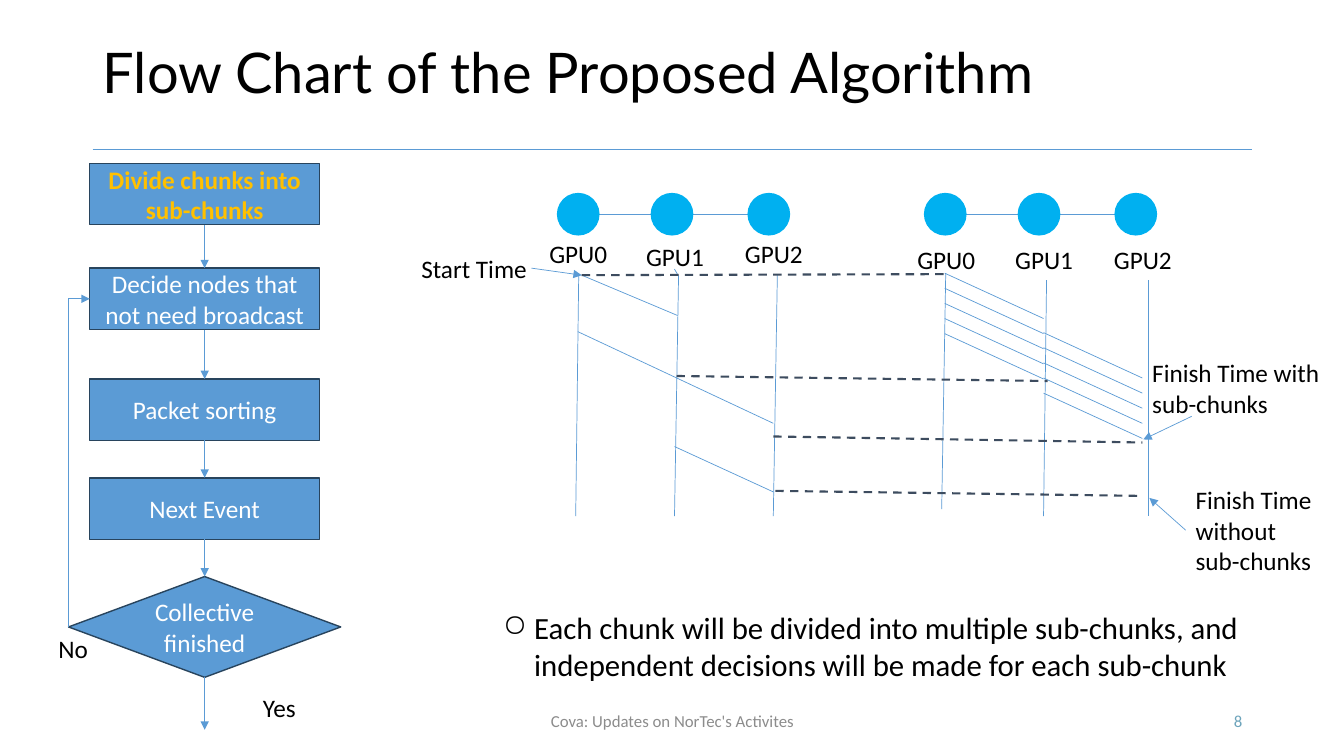
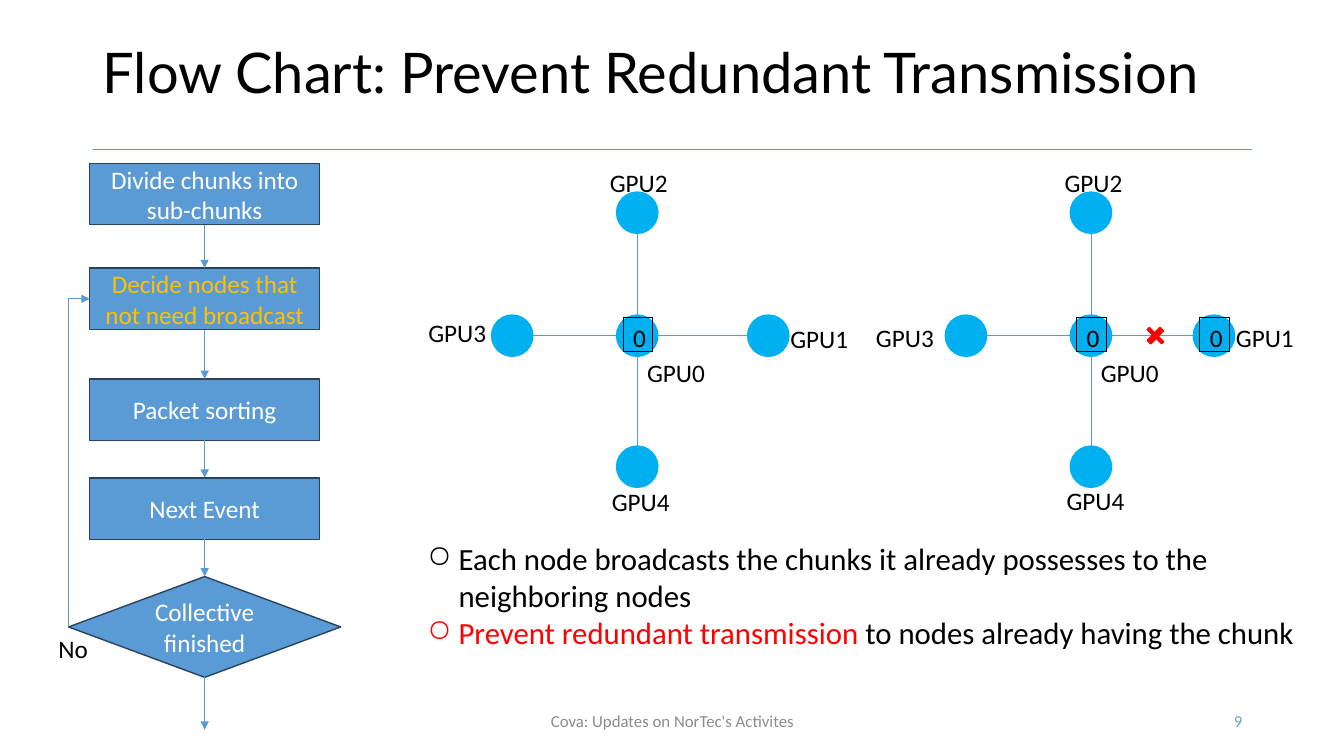
import pptx
import pptx.util
from pptx.dml.color import RGBColor
from pptx.enum.dml import MSO_LINE
from pptx.enum.shapes import MSO_CONNECTOR, MSO_SHAPE
from pptx.enum.text import MSO_ANCHOR, PP_ALIGN
from pptx.oxml.ns import qn
from lxml import etree

Inches = pptx.util.Inches
Pt = pptx.util.Pt

BLACK = RGBColor(0x00, 0x00, 0x00)
WHITE = RGBColor(0xFF, 0xFF, 0xFF)
BLUE = RGBColor(0x5B, 0x9B, 0xD5)
DARK_BLUE = RGBColor(0x28, 0x44, 0x5D)
SLATE = RGBColor(0x3D, 0x4C, 0x5F)
CYAN = RGBColor(0x00, 0xB0, 0xF0)
GOLD = RGBColor(0xFF, 0xC0, 0x00)
RED = RGBColor(0xFF, 0x00, 0x00)
FOOTER_GREY = RGBColor(0x8C, 0x8C, 0x8C)
NUMBER_BLUE = RGBColor(0x6D, 0xA4, 0xBB)

BODY_FONT = "Calibri"
TITLE_FONT = "Lato"
FOOTER = "Cova: Updates on NorTec's Activites"

STEPS = ["Divide chunks into sub-chunks", "Decide nodes that not need broadcast",
         "Packet sorting", "Next Event"]
STEP_TOPS = [0, 1.04, 2.14, 3.12]
STEP_SIZE = (2.28, 0.61)
NODE = 0.41


def style_run(run, size, color, font=BODY_FONT, bold=False):
    run.font.size = Pt(size)
    run.font.name = font
    run.font.color.rgb = color
    run.font.bold = bold


def write(shape, text, size=18, color=BLACK, font=BODY_FONT, bold=False,
          align=PP_ALIGN.LEFT, anchor=MSO_ANCHOR.TOP):
    frame = shape.text_frame
    frame.word_wrap = True
    frame.vertical_anchor = anchor
    frame.text = text
    for paragraph in frame.paragraphs:
        paragraph.alignment = align
        for run in paragraph.runs:
            style_run(run, size, color, font, bold)
    return frame


def add_label(slide, left, top, text, width=0.9, height=0.4, **style):
    label = slide.shapes.add_textbox(Inches(left), Inches(top), Inches(width), Inches(height))
    return write(label, text, **style)


def add_figure(slide, preset, left, top, width, height, fill, outline, weight=1):
    figure = slide.shapes.add_shape(preset, Inches(left), Inches(top),
                                    Inches(width), Inches(height))
    figure.shadow.inherit = False
    if fill is None:
        figure.fill.background()
    else:
        figure.fill.solid()
        figure.fill.fore_color.rgb = fill
    figure.line.color.rgb = outline
    figure.line.width = Pt(weight)
    return figure


def add_line(slide, start, end, color=BLUE, weight=0.5, dashed=False, arrow=False,
             kind=MSO_CONNECTOR.STRAIGHT):
    line = slide.shapes.add_connector(kind, *map(Inches, (*start, *end)))
    line.line.color.rgb = color
    line.line.width = Pt(weight)
    if dashed:
        line.line.dash_style = MSO_LINE.DASH
    if arrow:
        etree.SubElement(line.line._get_or_add_ln(), qn("a:tailEnd"), type="triangle")
    etree.SubElement(line._element.spPr, qn("a:effectLst"))
    return line


def add_node(slide, x, y):
    """Draw a GPU centred on x, y."""
    add_figure(slide, MSO_SHAPE.OVAL, x - NODE / 2, y - NODE / 2, NODE, NODE, CYAN, CYAN)


def add_bullets(slide, left, top, width, height, items):
    """Each item is a list of (text, colour) runs; the bullet takes the first colour."""
    frame = add_label(slide, left, top, "", width, height)
    for index, parts in enumerate(items):
        paragraph = frame.paragraphs[0] if index == 0 else frame.add_paragraph()
        for text, color in parts:
            run = paragraph.add_run()
            run.text = text
            style_run(run, 22, color)
        properties = paragraph._p.get_or_add_pPr()
        properties.set("marL", str(Inches(0.31)))
        properties.set("indent", str(-Inches(0.31)))
        etree.SubElement(properties, qn("a:buChar"), char="○")


def add_base(deck, title, number):
    slide = deck.slides.add_slide(deck.slide_layouts[6])
    add_line(slide, (0.92, 1.48), (12.42, 1.48))
    heading = add_label(slide, 0.92, 0.02, title, 11.5, 1.45, size=40, font=TITLE_FONT,
                        anchor=MSO_ANCHOR.MIDDLE)
    heading.paragraphs[0].line_spacing = 0.9
    add_label(slide, 4.42, 6.95, FOOTER, 4.5, size=12, color=FOOTER_GREY,
              align=PP_ALIGN.CENTER, anchor=MSO_ANCHOR.MIDDLE)
    add_label(slide, 9.42, 6.95, str(number), 3, size=12, color=NUMBER_BLUE,
              align=PP_ALIGN.RIGHT, anchor=MSO_ANCHOR.MIDDLE)
    return slide


def add_flow(slide, left, top, active, bold=False):
    """Draw the algorithm's flow chart with the active step's text in gold."""
    width, height = STEP_SIZE
    center = left + width / 2
    decision_left, decision_top = center - 1.35, top + 4.1
    boxes = [(MSO_SHAPE.RECTANGLE, left, top + offset, width, height, text)
             for offset, text in zip(STEP_TOPS, STEPS)]
    boxes.append((MSO_SHAPE.DIAMOND, decision_left, decision_top, 2.7, 1,
                  "Collective finished"))
    steps = []
    for index, (preset, *place, text) in enumerate(boxes):
        step = add_figure(slide, preset, *place, BLUE, DARK_BLUE)
        write(step, text, color=GOLD if index == active else WHITE,
              bold=bold and index == active,
              align=PP_ALIGN.CENTER, anchor=MSO_ANCHOR.MIDDLE)
        steps.append(step)

    for upper, lower in zip(steps, steps[1:]):
        link = add_line(slide, (center, top), (center, top + 1), arrow=True)
        link.begin_connect(upper, 2)
        link.end_connect(lower, 0)
    way_out = add_line(slide, (center, top + 5.1), (center, top + 5.62), arrow=True)
    way_out.begin_connect(steps[-1], 2)

    # The loop is a two-segment elbow, stored unturned around its midpoint.
    loop_top = top + STEP_TOPS[1] + height / 2
    rise, run = decision_top + 0.5 - loop_top, left - decision_left
    x, y = decision_left + run / 2, loop_top + rise / 2
    loop = add_line(slide, (x + rise / 2, y + run / 2), (x - rise / 2, y - run / 2),
                    arrow=True, kind=MSO_CONNECTOR.ELBOW)
    loop._element.spPr.find(qn("a:prstGeom")).set("prst", "bentConnector2")
    loop._element.spPr.find(qn("a:xfrm")).set("rot", str(90 * 60000))
    add_label(slide, left - 0.41, top + 4.61, "No")


def add_timeline(slide, left, top, labels, strokes):
    """Draw three linked GPUs with labels and timing lines placed from left, top."""
    middle = top + NODE / 2
    centers = [left + offset + NODE / 2 for offset in (0, 0.93, 1.89)]
    for start, end in zip(centers, centers[1:]):
        add_line(slide, (start + NODE / 2, middle), (end - NODE / 2, middle))
    for index, (center, (x, y)) in enumerate(zip(centers, labels)):
        add_node(slide, center, middle)
        add_label(slide, left + x, top + y, f"GPU{index}")
    for x1, y1, x2, y2 in strokes:
        add_line(slide, (left + x1, top + y1), (left + x2, top + y2))


def add_timing_comparison(slide):
    whole_chunks = [
        (0.21, 0.81, 0.18, 3.2), (1.16, 0.75, 1.2, 0.82),
        (1.2, 0.82, 1.16, 3.2), (2.18, 0.81, 2.14, 3.2),
        (0.24, 0.81, 1.19, 1.21), (0.2, 1.37, 1.16, 1.82),
        (1.16, 1.82, 2.14, 2.28), (1.16, 2.51, 2.14, 2.96)]
    sub_chunks = [(0.21, 0.79, 0.17, 3.13), (1.21, 0.86, 1.18, 3.2),
                  (2.22, 0.86, 2.22, 3.2)]
    for index in range(5):
        delay = 0.15 * index
        sub_chunks += [(0.2, 0.79 + delay, 1.18, 1.24 + delay),
                       (1.18, 1.38 + delay, 2.16, 1.83 + delay)]
    add_timeline(slide, 5.53, 1.92, [(-0.18, 0.4), (0.78, 0.42), (1.76, 0.4)], whole_chunks)
    add_timeline(slide, 9.17, 1.92, [(-0.17, 0.45), (0.8, 0.45), (1.78, 0.45)], sub_chunks)

    for start, end in [((5.77, 2.73), (9.36, 2.72)), ((6.71, 3.73), (10.39, 3.78)),
                       ((7.67, 4.33), (11.33, 4.39)), ((7.69, 4.87), (11.33, 4.92))]:
        add_line(slide, start, end, SLATE, 1.5, dashed=True)
    for start, end in [((5.27, 2.66), (5.77, 2.73)), ((11.82, 4.13), (11.34, 4.36)),
                       ((11.76, 5.26), (11.4, 4.94))]:
        add_line(slide, start, end, arrow=True)
    add_label(slide, 4.08, 2.46, "Start Time", 1.28)
    add_label(slide, 11.33, 3.5, "Finish Time with sub-chunks", 2, 0.71)
    add_label(slide, 11.76, 4.76, "Finish Time\nwithout sub-chunks", 1.45, 1.01)


def add_star(slide, x, y, right_arm, labels, holders):
    """Draw GPU0 at x, y with four neighbours; holders are offsets of nodes with chunk 0."""
    for dx, dy in [(right_arm, 0), (0, -1.22), (-1.24, 0), (0, 1.3)]:
        length = abs(dx) + abs(dy)
        ux, uy = dx / length * NODE / 2, dy / length * NODE / 2
        add_line(slide, (x + ux, y + uy), (x + dx - ux, y + dy - uy))
        add_node(slide, x + dx, y + dy)
    add_node(slide, x, y)
    for index, (dx, dy) in enumerate(labels):
        add_label(slide, x + dx, y + dy, f"GPU{index}")
    for dx in holders:
        chunk = add_figure(slide, MSO_SHAPE.RECTANGLE, x + dx - 0.14, y - 0.18,
                           0.29, 0.34, None, BLACK, 0.75)
        write(chunk, "0")


def add_broadcast_comparison(slide):
    add_star(slide, 6.32, 3.33, 1.3,
             [(0, 0.17), (1.42, -0.17), (-0.37, -1.72), (-2.17, -0.23), (-0.35, 1.45)], [0])
    add_star(slide, 10.82, 3.33, 1.22,
             [(0, 0.17), (1.34, -0.18), (-0.36, -1.72), (-2.23, -0.18), (-0.34, 1.44)],
             [0, 1.22])
    blocked = add_figure(slide, MSO_SHAPE.CROSS, 11.36, 3.24, 0.2, 0.18, RED, RED)
    blocked.adjustments[0] = 0.42
    blocked.rotation = 44.6


def main():
    deck = pptx.Presentation()
    deck.slide_width = Inches(13.33)
    deck.slide_height = Inches(7.5)

    division = add_base(deck, "Flow Chart of the Proposed Algorithm", 8)
    add_flow(division, 0.89, 1.62, active=0, bold=True)
    add_label(division, 2.51, 6.82, "Yes")
    add_timing_comparison(division)
    add_bullets(division, 4.89, 5.99, 8.2, 0.84, [
        [("Each chunk will be divided into multiple sub-chunks, and independent "
          "decisions will be made for each sub-chunk", BLACK)]])

    pruning = add_base(deck, "Flow Chart: Prevent Redundant Transmission", 9)
    add_flow(pruning, 0.89, 1.62, active=1)
    add_broadcast_comparison(pruning)
    add_bullets(pruning, 4.14, 5.31, 8.92, 1.21, [
        [("Each node broadcasts the chunks it already possesses to the "
          "neighboring nodes", BLACK)],
        [("Prevent redundant transmission ", RED),
         ("to nodes already having the chunk", BLACK)]])

    deck.save("out.pptx")


if __name__ == "__main__":
    main()
